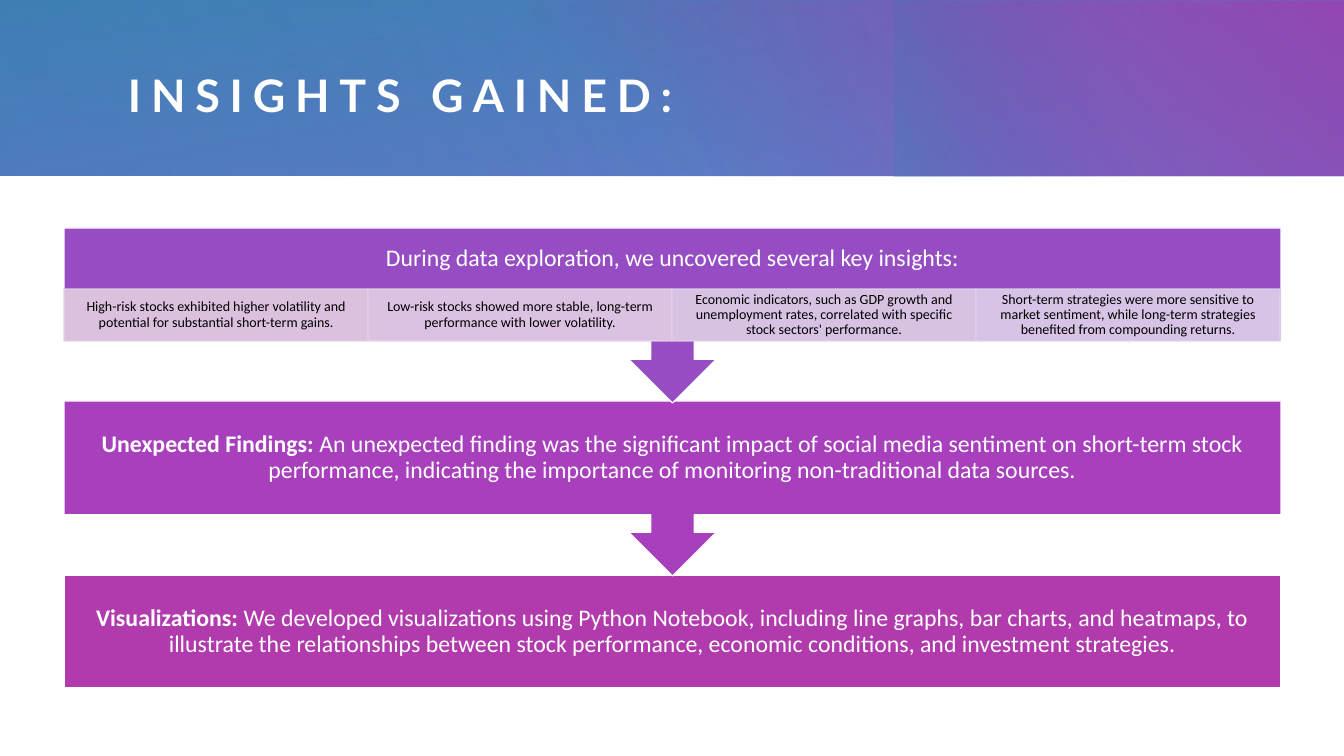
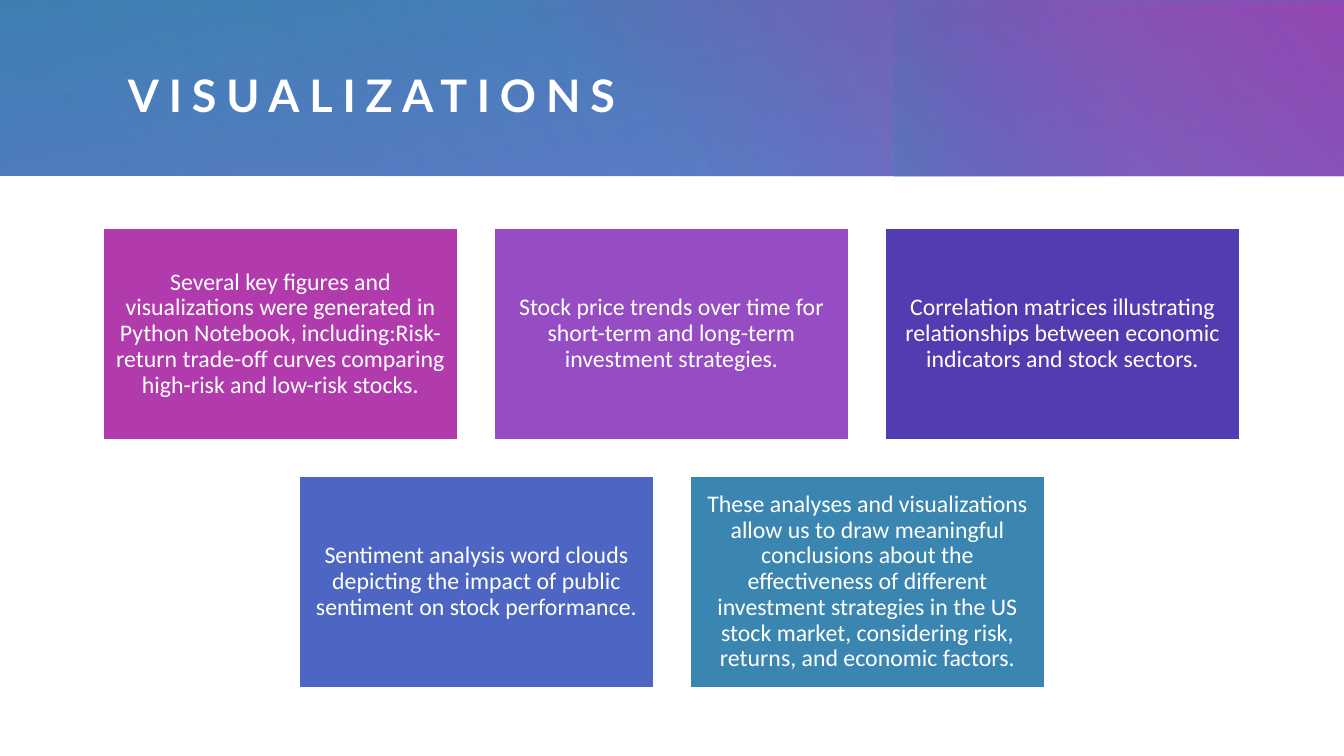
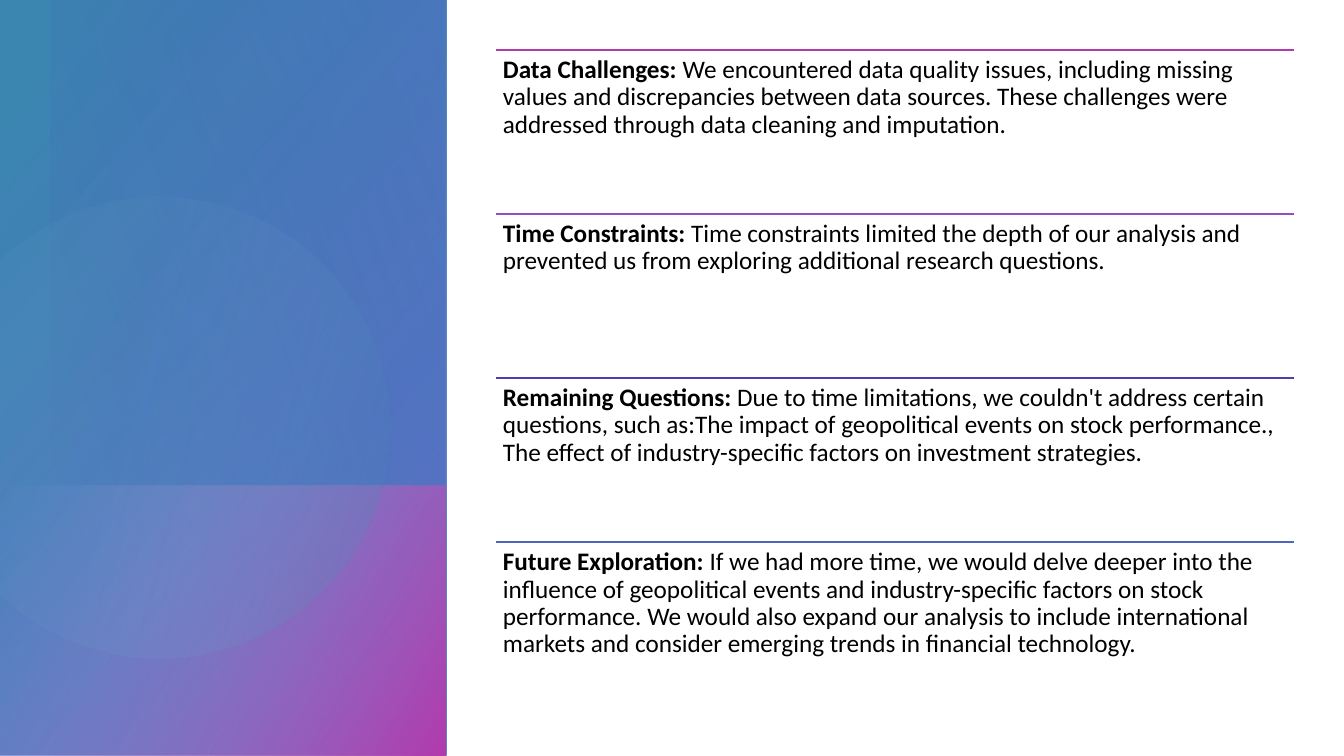
"""Build three slides on stock insights, charts and limits."""
import dataclasses
import math

import lxml.etree
import pptx
import pptx.dml.color
import pptx.enum.shapes
import pptx.enum.text
import pptx.oxml.ns
import pptx.shapes.autoshape
import pptx.slide
import pptx.util

WIDE, HIGH = 1344, 756
SCALE = 12192000 / WIDE
PINK, PLUM, VIOLET = "B13BAD", "964DC3", "533BB1"
BLUE, TEAL, WHITE, BLACK = "4D66C3", "3B86B1", "FFFFFF", "000000"
KIND = pptx.enum.shapes.MSO_SHAPE
ALIGN = pptx.enum.text.PP_ALIGN
ANCHOR = pptx.enum.text.MSO_ANCHOR
Shape = pptx.shapes.autoshape.Shape
Slide = pptx.slide.Slide
Box = tuple[int, int, int, int]


@dataclasses.dataclass
class Stop:
    """A gradient stop: place, colour and opacity in percent."""
    at: int
    hue: str
    alpha: int = 100


@dataclasses.dataclass
class Wash:
    """A gradient rectangle."""
    box: Box
    angle: int
    stops: tuple[Stop, Stop]
    turn: int = 0
    flip: bool = False


@dataclasses.dataclass
class Note:
    """A text with an optional bold lead and a colour."""
    hue: str
    lead: str
    body: str


@dataclasses.dataclass
class Style:
    """The look of a text block."""
    size: int
    hue: str
    side: int
    top: int
    align: ALIGN = ALIGN.CENTER
    anchor: ANCHOR = ANCHOR.MIDDLE


BANDS = (
    Wash((0, 0, WIDE, 176), 260, (Stop(0, BLUE, 83), Stop(100, TEAL))),
    Wash((485, 1, 859, 175), 310, (Stop(22, PINK, 0), Stop(99, PINK))),
    Wash((995, -100, 176, 377), 250, (Stop(45, VIOLET, 0), Stop(99, TEAL, 33)), 270),
    Wash((270, 0, 1073, 176), 330, (Stop(0, BLUE, 30), Stop(99, BLUE, 0)), 180),
    Wash((0, 0, 872, 176), 340, (Stop(0, BLUE, 21), Stop(99, BLUE, 0))),
)
PANEL = (
    Wash((-155, 155, 756, 446), 50, (Stop(8, TEAL), Stop(100, BLUE, 89)), 270, True),
    Wash((87, 398, 271, 446), 60, (Stop(0, "94A3DB", 0), Stop(99, PINK)), 270, True),
)
SHEEN = Wash((5, 45, 485, 395), 110, (Stop(0, BLUE, 29), Stop(100, VIOLET, 0)), 90, True)
DISC = (Stop(36, "84B8D6", 6), Stop(100, TEAL, 26))

STEP = Style(17, WHITE, 13, 13)
CHIP = Style(10, BLACK, 8, 1)
CARD = Style(17, WHITE, 7, 7)
ROW = Style(18, BLACK, 7, 7, ALIGN.LEFT, ANCHOR.TOP)

INTRO = Note(PLUM, "", "During data exploration, we uncovered several key insights:")
FOUND = Note("A840BE", "Unexpected Findings:", " An unexpected finding was the significant impact of social media sentiment on short-term stock performance, indicating the importance of monitoring non-traditional data sources.")
CHARTS = Note(PINK, "Visualizations:", " We developed visualizations using Python Notebook, including line graphs, bar charts, and heatmaps, to illustrate the relationships between stock performance, economic conditions, and investment strategies.")
CHIPS = (
    Note("E4CEE3", "", "High-risk stocks exhibited higher volatility and potential for substantial short-term gains."),
    Note("E3CFE6", "", "Low-risk stocks showed more stable, long-term performance with lower volatility."),
    Note("E0CFE8", "", "Economic indicators, such as GDP growth and unemployment rates, correlated with specific stock sectors' performance."),
    Note("DDD0E9", "", "Short-term strategies were more sensitive to market sentiment, while long-term strategies benefited from compounding returns."),
)
CARDS = (
    (
        Note(PINK, "", "Several key figures and visualizations were generated in Python Notebook, including:Risk-return trade-off curves comparing high-risk and low-risk stocks."),
        Note(PLUM, "", "Stock price trends over time for short-term and long-term investment strategies."),
        Note(VIOLET, "", "Correlation matrices illustrating relationships between economic indicators and stock sectors."),
    ),
    (
        Note(BLUE, "", "Sentiment analysis word clouds depicting the impact of public sentiment on stock performance."),
        Note(TEAL, "", "These analyses and visualizations allow us to draw meaningful conclusions about the effectiveness of different investment strategies in the US stock market, considering risk, returns, and economic factors."),
    ),
)
ROWS = (
    Note(PINK, "Data Challenges:", " We encountered data quality issues, including missing values and discrepancies between data sources. These challenges were addressed through data cleaning and imputation."),
    Note(PLUM, "Time Constraints:", " Time constraints limited the depth of our analysis and prevented us from exploring additional research questions."),
    Note(VIOLET, "Remaining Questions:", " Due to time limitations, we couldn't address certain questions, such as:The impact of geopolitical events on stock performance., The effect of industry-specific factors on investment strategies."),
    Note(BLUE, "Future Exploration:", " If we had more time, we would delve deeper into the influence of geopolitical events and industry-specific factors on stock performance. We would also expand our analysis to include international markets and consider emerging trends in financial technology."),
)


def px(size: float) -> int:
    """Turn px into EMU."""
    return round(size * SCALE)


def ink(hue: str) -> pptx.dml.color.RGBColor:
    """Turn a hex string into a colour."""
    return pptx.dml.color.RGBColor.from_string(hue)


def child(node: lxml.etree._Element, tag: str, **data: object) -> lxml.etree._Element:
    """Add a drawing element below a node."""
    texts = {key: str(value) for key, value in data.items()}
    return lxml.etree.SubElement(node, pptx.oxml.ns.qn(tag), texts)


def blend(shape: Shape, angle: int, stops: tuple[Stop, Stop]) -> None:
    """Fill a shape with a linear gradient and no line."""
    shape.shadow.inherit = False
    shape.line.fill.background()
    shape.fill.background()
    props = shape._element.spPr
    grad = child(props, "a:gradFill", rotWithShape=1)
    props.replace(props.find(pptx.oxml.ns.qn("a:noFill")), grad)
    marks = child(grad, "a:gsLst")
    for stop in stops:
        mark = child(marks, "a:gs", pos=stop.at * 1000)
        tint = child(mark, "a:srgbClr", val=ink(stop.hue))
        child(tint, "a:alpha", val=stop.alpha * 1000)
    child(grad, "a:lin", ang=angle * 60000, scaled=0)


def wash(slide: Slide, item: Wash) -> None:
    """Draw one gradient rectangle."""
    shape = slide.shapes.add_shape(KIND.RECTANGLE, *map(px, item.box))
    shape.rotation = item.turn
    if item.flip:
        shape._element.spPr.xfrm.set("flipH", "1")
    blend(shape, item.angle, item.stops)


def block(slide: Slide, kind: KIND, box: Box, hue: str, line: str = WHITE) -> Shape:
    """Draw one plain filled shape."""
    shape = slide.shapes.add_shape(kind, *map(px, box))
    shape.shadow.inherit = False
    shape.fill.solid()
    shape.fill.fore_color.rgb = ink(hue)
    shape.line.color.rgb = ink(line)
    shape.line.width = pptx.util.Pt(1)
    return shape


def write(shape: Shape, note: Note, style: Style) -> None:
    """Set a note in a shape."""
    frame = shape.text_frame
    frame.word_wrap = True
    frame.vertical_anchor = style.anchor
    frame.margin_left = frame.margin_right = px(style.side)
    frame.margin_top = frame.margin_bottom = px(style.top)
    para = frame.paragraphs[0]
    para.text = note.lead or note.body
    if note.lead:
        para.add_run().text = note.body
    para.alignment = style.align
    para.line_spacing = 0.9
    for run in para.runs:
        run.font.name = "Calibri"
        run.font.size = pptx.util.Pt(style.size)
        run.font.color.rgb = ink(style.hue)
        run.font.bold = run.text == note.lead


def label(slide: Slide, box: Box, note: Note, style: Style) -> None:
    """Set a note in a text box."""
    write(slide.shapes.add_textbox(*map(px, box)), note, style)


def titled(deck: pptx.presentation.Presentation, text: str) -> Slide:
    """Add a slide with the band and its title."""
    slide = deck.slides.add_slide(deck.slide_layouts[5])
    for band in BANDS:
        wash(slide, band)
    title = slide.shapes.title
    title._element.getparent().append(title._element)
    title.left, title.top, title.width, title.height = map(px, (128, 41, 1144, 107))
    frame = title.text_frame
    frame.text = text
    frame.word_wrap = True
    frame.auto_size = pptx.enum.text.MSO_AUTO_SIZE.NONE
    frame.vertical_anchor = ANCHOR.MIDDLE
    frame.margin_left = frame.margin_right = frame.margin_top = frame.margin_bottom = 0
    para = frame.paragraphs[0]
    para.alignment = ALIGN.LEFT
    font = para.runs[0].font
    font.name, font.size, font.bold = "Lato", pptx.util.Pt(32), True
    font.color.rgb = ink(WHITE)
    font._element.set("spc", "700")
    return slide


def gained(deck: pptx.presentation.Presentation) -> None:
    """Build the flow of insights."""
    slide = titled(deck, "INSIGHTS GAINED:")
    left, width, body = 64, 1217, 113
    last = block(slide, KIND.RECTANGLE, (left, 575, width, body), CHARTS.hue)
    write(last, CHARTS, STEP)
    for note, top, high in ((FOUND, 401, body), (INTRO, 228, 61)):
        arrow = block(slide, KIND.UP_ARROW_CALLOUT, (left, top, width, 175), note.hue)
        arrow.rotation = 180
        label(slide, (left, top, width, high), note, STEP)
    for spot, note in enumerate(CHIPS):
        chip = block(slide, KIND.RECTANGLE, (left + 304 * spot, 289, 304, 52), note.hue, note.hue)
        for tint in list(chip._element.spPr.iter(pptx.oxml.ns.qn("a:srgbClr"))):
            child(tint, "a:alpha", val=90000)
        write(chip, note, CHIP)


def charts(deck: pptx.presentation.Presentation) -> None:
    """Build the centred rows of cards."""
    slide = titled(deck, "VISUALIZATIONS")
    width, high, gap = 355, 212, 36
    for line, notes in enumerate(CARDS):
        left = (WIDE + gap - len(notes) * (width + gap)) // 2
        for spot, note in enumerate(notes):
            box = (left + spot * (width + gap), 228 + line * (high + gap), width, high)
            write(block(slide, KIND.RECTANGLE, box, note.hue), note, CARD)


def disc(slide: Slide) -> None:
    """Draw the round glow, cut at the left edge."""
    mid, level, radius = 159, 428, 231
    reach = math.acos(-mid / radius)
    turns = [reach * (step / 60 - 1) for step in range(121)]
    dots = [(px(mid + radius * math.cos(turn)), px(level + radius * math.sin(turn))) for turn in turns]
    pen = slide.shapes.build_freeform(*dots[0], scale=1.0)
    pen.add_line_segments(dots[1:], close=True)
    blend(pen.convert_to_shape(), 14, DISC)


def limits(deck: pptx.presentation.Presentation) -> None:
    """Build the ruled list beside the panel."""
    slide = deck.slides.add_slide(deck.slide_layouts[6])
    for item in PANEL:
        wash(slide, item)
    disc(slide)
    wash(slide, SHEEN)
    left, width, pitch = 496, 798, 164
    for spot, note in enumerate(ROWS):
        top = 50 + spot * pitch
        ends = map(px, (left, top, left + width, top))
        rule = slide.shapes.add_connector(pptx.enum.shapes.MSO_CONNECTOR.STRAIGHT, *ends)
        rule.line.color.rgb = ink(note.hue)
        rule.line.width = pptx.util.Pt(1)
        child(rule._element.spPr, "a:effectLst")
        label(slide, (left, top, width, pitch), note, ROW)


def main() -> None:
    """Build and save the deck."""
    deck = pptx.Presentation()
    deck.slide_width, deck.slide_height = px(WIDE), px(HIGH)
    gained(deck)
    charts(deck)
    limits(deck)
    deck.save("out.pptx")


if __name__ == "__main__":
    main()
